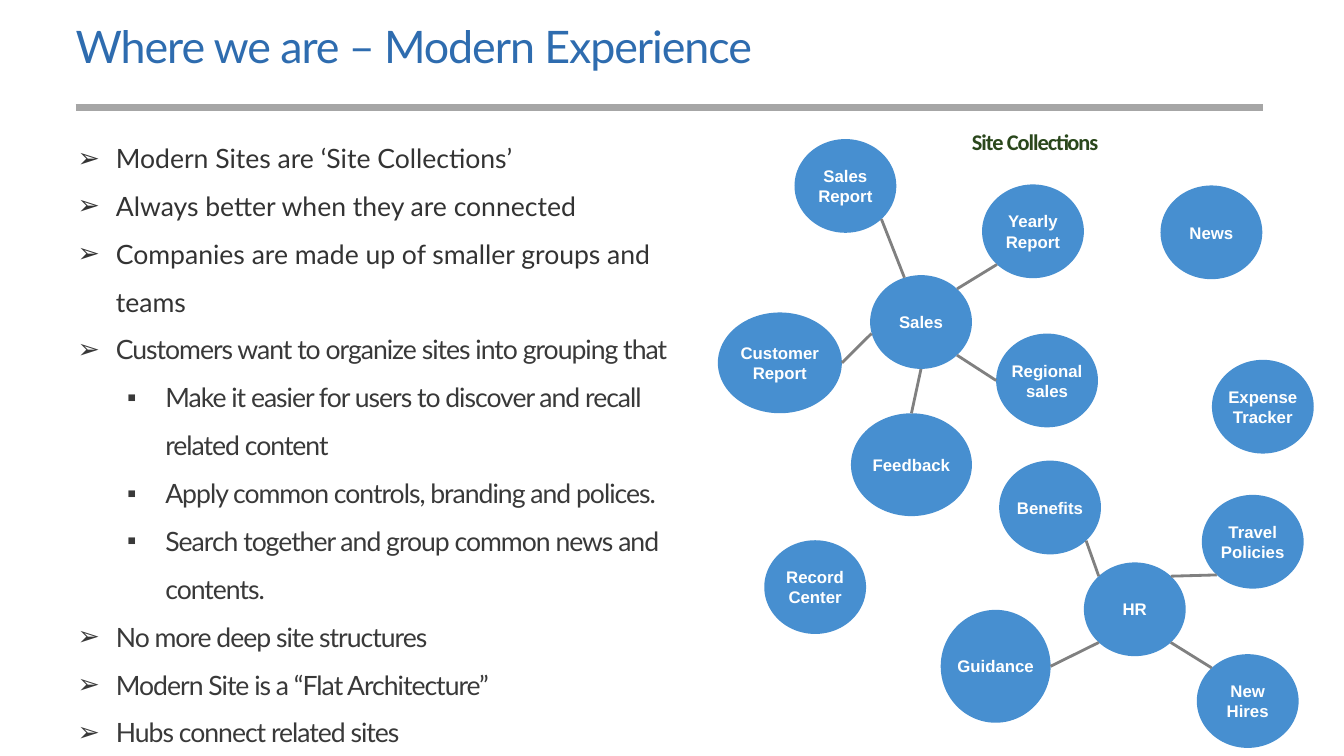
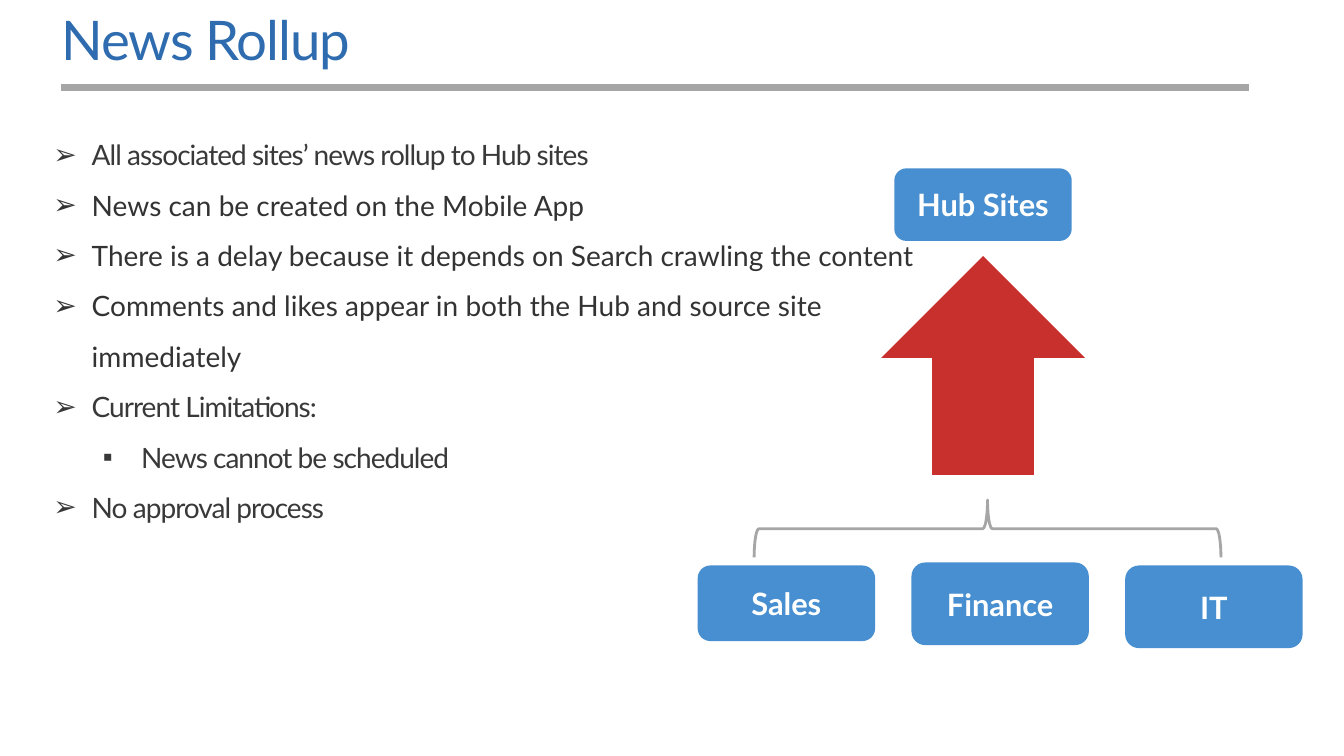
import math
import pptx
import pptx.dml.color
import pptx.enum.shapes
import pptx.enum.text
import pptx.oxml
import pptx.oxml.ns
import pptx.util

PX = 9144
BLUE = "478FD0"
RED = "C8302D"
GREY = "A6A6A6"
DARK_GREY = "808080"
WHITE = "FFFFFF"
BODY = "333333"
BODY_TIGHT = "393939"
SHAPE = pptx.enum.shapes.MSO_SHAPE
ANCHOR = pptx.enum.text.MSO_ANCHOR
ALIGN = pptx.enum.text.PP_ALIGN

TITLE = {"name": "Lato", "size": 32, "bold": False, "color": "2E6CAF", "spc": -80}
LABEL = {"name": "Calibri", "size": 16, "bold": True, "color": "2A471C", "spc": -70}
NODE = {"name": "Arial", "size": 12, "bold": True, "color": WHITE}
BOX = {"name": "Lato", "size": 22, "bold": True, "color": WHITE}
LOOSE = {"name": "Lato", "size": 20, "color": BODY}
TIGHT = {"name": "Lato", "size": 20, "color": BODY_TIGHT, "spc": -70}
BULLETS = [("➢", 38), ("▪", 87)]
HANGING = 38


def px(n):
    return pptx.util.Emu(round(n * PX))


def rgb(value):
    return pptx.dml.color.RGBColor.from_string(value)


def add_run(p, text, fmt):
    r = p.add_run()
    r.text = text
    for key, value in fmt.items():
        if key == "color":
            r.font.color.rgb = rgb(value)
        elif key == "spc":
            r._r.get_or_add_rPr().set("spc", str(value))
        else:
            setattr(r.font, key, pptx.util.Pt(value) if key == "size" else value)


def set_frame(tf, margins, anchor, wrap=True):
    sides = ("margin_left", "margin_top", "margin_right", "margin_bottom")
    fmt = dict(zip(sides, map(px, margins)), vertical_anchor=anchor, word_wrap=wrap)
    for key, value in fmt.items():
        setattr(tf, key, value)


def add_text_box(s, box, wrap=True):
    tf = s.shapes.add_textbox(*map(px, box)).text_frame
    set_frame(tf, (0, 0, 0, 0), ANCHOR.TOP, wrap)
    return tf


def add_line(s, start, end, color, width):
    kind = pptx.enum.shapes.MSO_CONNECTOR.STRAIGHT
    sp = s.shapes.add_connector(kind, *map(px, (*start, *end)))
    sp.line.color.rgb = rgb(color)
    sp.line.width = pptx.util.Pt(width)
    pptx.oxml.ns.qn("a:effectLst")
    sp._element.spPr.append(sp._element.spPr.makeelement(pptx.oxml.ns.qn("a:effectLst"), {}))


def add_shape(s, kind, box, fill=None, text="", fmt=None, margins=(5, 5, 5, 5)):
    sp = s.shapes.add_shape(kind, *map(px, box))
    sp.shadow.inherit = False
    sp.line.fill.background()
    if fill:
        sp.fill.solid()
        sp.fill.fore_color.rgb = rgb(fill)
    else:
        sp.fill.background()
    if text:
        set_frame(sp.text_frame, margins, ANCHOR.MIDDLE)
        p = sp.text_frame.paragraphs[0]
        p.alignment = ALIGN.CENTER
        add_run(p, text, fmt)
    return sp


def add_header(s, box, text, size, rule_y):
    p = add_text_box(s, box).paragraphs[0]
    p.line_spacing = 0.9
    add_run(p, text, {**TITLE, "size": size})
    add_line(s, (box[0], rule_y), (box[0] + 1178, rule_y), GREY, 4.75)


def add_bullets(s, box, items, size):
    tf = add_text_box(s, box)
    for i, (level, text, fmt) in enumerate(items):
        p = tf.add_paragraph() if i else tf.paragraphs[0]
        char, indent = BULLETS[level]
        p.level = level
        pPr = p._p.get_or_add_pPr()
        pPr.set("marL", str(px(indent)))
        pPr.set("indent", str(-px(HANGING)))
        for tag, attrs in (("a:buFont", {"typeface": "Arial"}), ("a:buChar", {"char": char})):
            pPr.append(pPr.makeelement(pptx.oxml.ns.qn(tag), attrs))
        p.line_spacing = 1.5
        add_run(p, text, {**fmt, "size": size})


def rim_point(box, degrees):
    x, y, w, h = box
    a = math.radians(degrees)
    return x + w / 2 * (1 + math.cos(a)), y + h / 2 * (1 + math.sin(a))


def add_site_map(s, x, y):
    usual = (101, 93)
    sites = {
        "Sales Report": (76, 11, *usual),
        "Yearly Report": (262, 56, *usual),
        "News": (439, 57, *usual),
        "Regional sales": (276, 204, *usual),
        "Customer Report": (0, 183, 123, 100),
        "Feedback": (132, 283, 120, 102),
        "Sales": (151, 146, *usual),
        "Record Center": (46, 409, *usual),
        "Expense Tracker": (490, 230, *usual),
        "Benefits": (279, 330, *usual),
        "Travel Policies": (480, 364, *usual),
        "Guidance": (221, 478, 109, 112),
        "New Hires": (475, 522, *usual),
        "HR": (363, 431, *usual),
    }
    links = [
        ("Sales Report", 45, "Sales", -109),
        ("Yearly Report", 135, "Sales", -45),
        ("Regional sales", 180, "Sales", 45),
        ("Customer Report", 0, "Sales", 166),
        ("Feedback", -90, "Sales", 90),
        ("Benefits", 45, "HR", -135),
        ("Travel Policies", 135, "HR", -45),
        ("New Hires", -135, "HR", 45),
        ("Guidance", 0, "HR", 135),
    ]
    boxes = {name: (x + dx, y + dy, w, h) for name, (dx, dy, w, h) in sites.items()}
    for name, box in boxes.items():
        add_shape(s, SHAPE.OVAL, box, BLUE, name, NODE, (0, 5, 0, 5))
    for site, site_angle, hub, hub_angle in links:
        start = rim_point(boxes[site], site_angle)
        end = rim_point(boxes[hub], hub_angle)
        add_line(s, start, end, DARK_GREY, 2)
    tf = add_text_box(s, (x + 252, y, 126, 27), wrap=False)
    add_run(tf.paragraphs[0], "Site Collections", LABEL)


def add_rollup(s, x, y):
    team_y = y + 394
    teams = [("Sales", 0, 75), ("Finance", -3, 82), ("IT", 0, 82)]
    for i, (name, dy, h) in enumerate(teams):
        box = (x + 212 * i, team_y + dy, 176, h)
        add_shape(s, SHAPE.ROUNDED_RECTANGLE, box, BLUE, name, BOX)
    add_shape(s, SHAPE.ROUNDED_RECTANGLE, (x + 195, y, 176, 72), BLUE, "Hub Sites", BOX)
    add_shape(s, SHAPE.UP_ARROW, (x + 182, y + 87, 202, 217), RED)
    brace = add_shape(s, SHAPE.RIGHT_BRACE, (x + 259, y + 126, 57, 463))
    brace.rotation = 270
    brace.line.color.rgb = rgb(GREY)
    brace.line.width = pptx.util.Pt(2)


def modern_experience(s):
    add_header(s, (75, 25, 1158, 94), "Where we are – Modern Experience", 32, 107)
    add_bullets(s, (77, 125, 630, 618), [
        (0, "Modern Sites are ‘Site Collections’", LOOSE),
        (0, "Always better when they are connected", LOOSE),
        (0, "Companies are made up of smaller groups and teams", LOOSE),
        (0, "Customers want to organize sites into grouping that", TIGHT),
        (1, "Make it easier for users to discover and recall related content", TIGHT),
        (1, "Apply common controls, branding and polices.", TIGHT),
        (1, "Search together and group common news and contents.", TIGHT),
        (0, "No more deep site structures", TIGHT),
        (0, "Modern Site is a “Flat Architecture”", TIGHT),
        (0, "Hubs connect related sites", TIGHT),
    ], 19)
    add_site_map(s, 712, 127)


def news_rollup(s):
    add_bullets(s, (53, 120, 917, 398), [
        (0, "All associated sites’ news rollup to Hub sites", TIGHT),
        (0, "News can be created on the Mobile App", LOOSE),
        (0, "There is a delay because it depends on Search crawling the content", LOOSE),
        (0, "Comments and likes appear in both the Hub and source site immediately", LOOSE),
        (0, "Current Limitations:", TIGHT),
        (1, "News cannot be scheduled", TIGHT),
        (0, "No approval process", TIGHT),
    ], 20)
    add_header(s, (61, 13, 1177, 82), "News Rollup", 39, 87)
    add_rollup(s, 692, 167)


def main():
    prs = pptx.Presentation()
    prs.slide_width, prs.slide_height = px(1333), px(750)
    for build in (modern_experience, news_rollup):
        build(prs.slides.add_slide(prs.slide_layouts[6]))
    prs.save("out.pptx")


if __name__ == "__main__":
    main()
